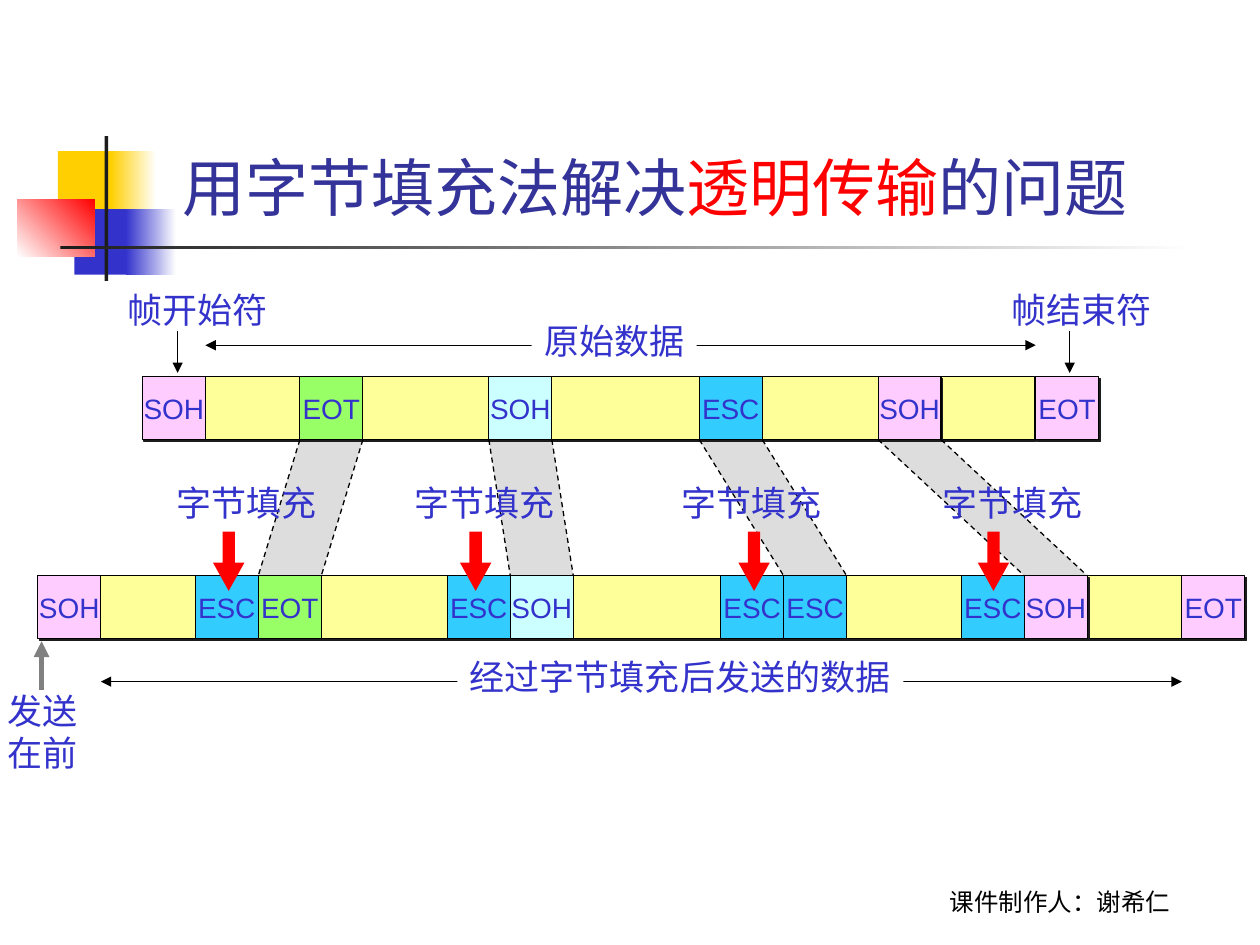
from lxml import etree
from pptx import Presentation
from pptx import util as u
from pptx.dml import color
from pptx.enum import dml, shapes, text
from pptx.oxml import ns

BLUE, BLACK, RED, WHITE, DARK = "3333CC", "000000", "FF0000", "FFFFFF", "1C1C1C"
PINK, YELLOW, GREEN, CYAN, SKY = "FFCCFF", "FFFF99", "99FF66", "CCFFFF", "33CCFF"
RECTANGLE = shapes.MSO_SHAPE.RECTANGLE
rgb = color.RGBColor.from_string


def write(shape, *paragraphs, size=20, font="Arial", align="LEFT", anchor="TOP", wrap=False):
    """Fill a shape with paragraphs, each a list of (text, colour) runs."""
    frame = shape.text_frame
    frame.word_wrap = wrap
    frame.vertical_anchor = text.MSO_ANCHOR[anchor]
    for index, runs in enumerate(paragraphs):
        paragraph = frame.add_paragraph() if index else frame.paragraphs[0]
        paragraph.alignment = text.PP_ALIGN[align]
        for words, hue in runs:
            run = paragraph.add_run()
            run.text = words
            run.font.size = u.Pt(size)
            run.font.name = font
            run.font.color.rgb = rgb(hue)


def paint(shape, fill, line=None):
    """Set a plain fill and an optional thin outline, without shadow."""
    shape.shadow.inherit = False
    shape.fill.solid()
    shape.fill.fore_color.rgb = rgb(fill)
    if line:
        shape.line.color.rgb = rgb(line)
        shape.line.width = u.Pt(0.75)
    else:
        shape.line.fill.background()


presentation = Presentation()
presentation.slide_width, presentation.slide_height = u.Inches(10), u.Inches(7.5)
slide = presentation.slides.add_slide(presentation.slide_layouts[6])

# Corner decoration: position, start colour, end colour, angle
decoration = [
    (0.46, 1.2, 0.48, 0.52, "FFCF01", None, 0),
    (0.88, 1.2, 0.36, 0.52, "FFCF01", WHITE, 0),
    (0.59, 1.66, 0.46, 0.52, BLUE, None, 0),
    (1, 1.66, 0.4, 0.52, BLUE, WHITE, 0),
    (0.14, 1.58, 0.61, 0.46, WHITE, RED, 45),
    (0.83, 1.08, 0.03, 1.15, DARK, None, 0),
    (0.48, 1.95, 9, 0.03, DARK, WHITE, 0),
]
for *box, start, end, angle in decoration:
    shape = slide.shapes.add_shape(RECTANGLE, *map(u.Inches, box))
    paint(shape, start)
    if end:
        shape.fill.gradient()
        shape.fill.gradient_angle = angle
        for stop, hue, position in zip(shape.fill.gradient_stops, (start, end), (0, 1)):
            stop.color.rgb = rgb(hue)
            stop.position = position

# Grey bands joining each special byte to its place in the sent frame
CELL, TOP_ROW, SENT_ROW = 0.5, 2.99, 4.57
BAND_TOP = TOP_ROW + CELL
bands = [(2.38, 2.05), (3.88, 4.05), (5.55, 6.22), (6.97, 8.13)]
for upper, lower in bands:
    corners = [(lower, SENT_ROW), (lower + CELL, SENT_ROW),
               (upper + CELL, BAND_TOP), (upper, BAND_TOP)]
    points = [(u.Inches(x), u.Inches(y)) for x, y in corners]
    builder = slide.shapes.build_freeform(*points[0])
    builder.add_line_segments(points[1:], close=True)
    paint(builder.convert_to_shape(), "DDDDDD")

# Both frames: left, width, fill, label
original_frame = [
    (1.13, CELL, PINK, "SOH"), (1.63, 6.58, YELLOW, ""), (2.38, CELL, GREEN, "EOT"),
    (3.88, CELL, CYAN, "SOH"), (5.55, CELL, SKY, "ESC"), (6.97, CELL, PINK, "SOH"),
    (8.22, CELL, PINK, "EOT"),
]
sent_frame = [
    (0.3, CELL, PINK, "SOH"), (0.8, 8.58, YELLOW, ""), (1.55, CELL, SKY, "ESC"),
    (2.05, CELL, GREEN, "EOT"), (3.55, CELL, SKY, "ESC"), (4.05, CELL, CYAN, "SOH"),
    (5.72, CELL, SKY, "ESC"), (6.22, CELL, SKY, "ESC"), (7.63, CELL, SKY, "ESC"),
    (8.13, CELL, PINK, "SOH"), (9.38, CELL, PINK, "EOT"),
]
for top, frame_cells in ((TOP_ROW, original_frame), (SENT_ROW, sent_frame)):
    for left, width, fill, label in frame_cells:
        cell = slide.shapes.add_shape(RECTANGLE, *map(u.Inches, (left, top, width, CELL)))
        paint(cell, fill, BLACK)
        if label:
            write(cell, [(label, BLUE)], size=16, align="CENTER", anchor="MIDDLE")
        if fill in (PINK, YELLOW):
            effects = cell._element.spPr.find(ns.qn("a:effectLst"))
            shadow = etree.SubElement(effects, ns.qn("a:outerShdw"), dist=str(u.Pt(1.4)),
                                      dir="2700000", algn="ctr", rotWithShape="0")
            etree.SubElement(shadow, ns.qn("a:srgbClr"), val=DARK)

# Lines: start, end, colour, width, dashed, arrowheads
lines = [
    (1.63, 2.74, 8.22, 2.74, BLACK, 0.75, False, ("headEnd", "tailEnd")),
    (0.8, 5.41, 9.38, 5.41, BLACK, 0.75, False, ("headEnd", "tailEnd")),
    (0.33, 5.48, 0.33, 5.09, "808080", 3, False, ("tailEnd",)),
    (1.41, 2.63, 1.41, 2.96, BLACK, 0.75, False, ("tailEnd",)),
    (8.49, 2.63, 8.49, 2.96, BLACK, 0.75, False, ("tailEnd",)),
]
for upper, lower in bands:
    for side in (0, CELL):
        lines.append((upper + side, BAND_TOP, lower + side, SENT_ROW, BLACK, 0.75, True, ()))
for *ends, hue, width, dashed, heads in lines:
    line = slide.shapes.add_connector(shapes.MSO_CONNECTOR.STRAIGHT, *map(u.Inches, ends))
    line.line.color.rgb = rgb(hue)
    line.line.width = u.Pt(width)
    if dashed:
        line.line.dash_style = dml.MSO_LINE.DASH
    for head in heads:
        etree.SubElement(line.line._get_or_add_ln(), ns.qn("a:" + head), type="triangle")
    etree.SubElement(line._element.spPr, ns.qn("a:effectLst"))

# Labels: position, paragraphs, white backing
labels = [
    (4.22, 2.49, 1.31, 0.44, ["原始数据"], True),
    (3.63, 5.15, 3.54, 0.44, ["经过字节填充后发送的数据"], True),
    (-0.04, 5.42, 0.8, 0.77, ["发送", "在前"], False),
    (0.91, 2.24, 1.31, 0.44, ["帧开始符"], False),
    (7.93, 2.24, 1.31, 0.44, ["帧结束符"], False),
]
for left in (1.3, 3.19, 5.31, 7.38):
    labels.append((left, 3.77, 1.31, 0.44, ["字节填充"], False))
for *box, rows, backed in labels:
    label = slide.shapes.add_textbox(*map(u.Inches, box))
    write(label, *([(row, BLUE)] for row in rows))
    if backed:
        paint(label, WHITE)

# Red arrows marking the stuffed bytes
for left in (1.69, 3.65, 5.86, 7.76):
    arrow = slide.shapes.add_shape(shapes.MSO_SHAPE.DOWN_ARROW,
                                   *map(u.Inches, (left, 4.22, 0.25, 0.47)))
    arrow.adjustments[0], arrow.adjustments[1] = 0.39, 0.9
    paint(arrow, RED)

# Title and footer
title = slide.shapes.add_textbox(*map(u.Inches, (1.26, 0.23, 7.99, 1.6)))
write(title, [("用字节填充法解决", "333399"), ("透明传输", RED), ("的问题 ", "333399")],
      size=36, align="CENTER", anchor="BOTTOM", wrap=True)
footer = slide.shapes.add_textbox(*map(u.Inches, (6.83, 6.82, 3.17, 0.5)))
write(footer, [("课件制作人：谢希仁", BLACK)],
      size=14, font="Lato", align="CENTER", anchor="BOTTOM", wrap=True)

presentation.save("out.pptx")
